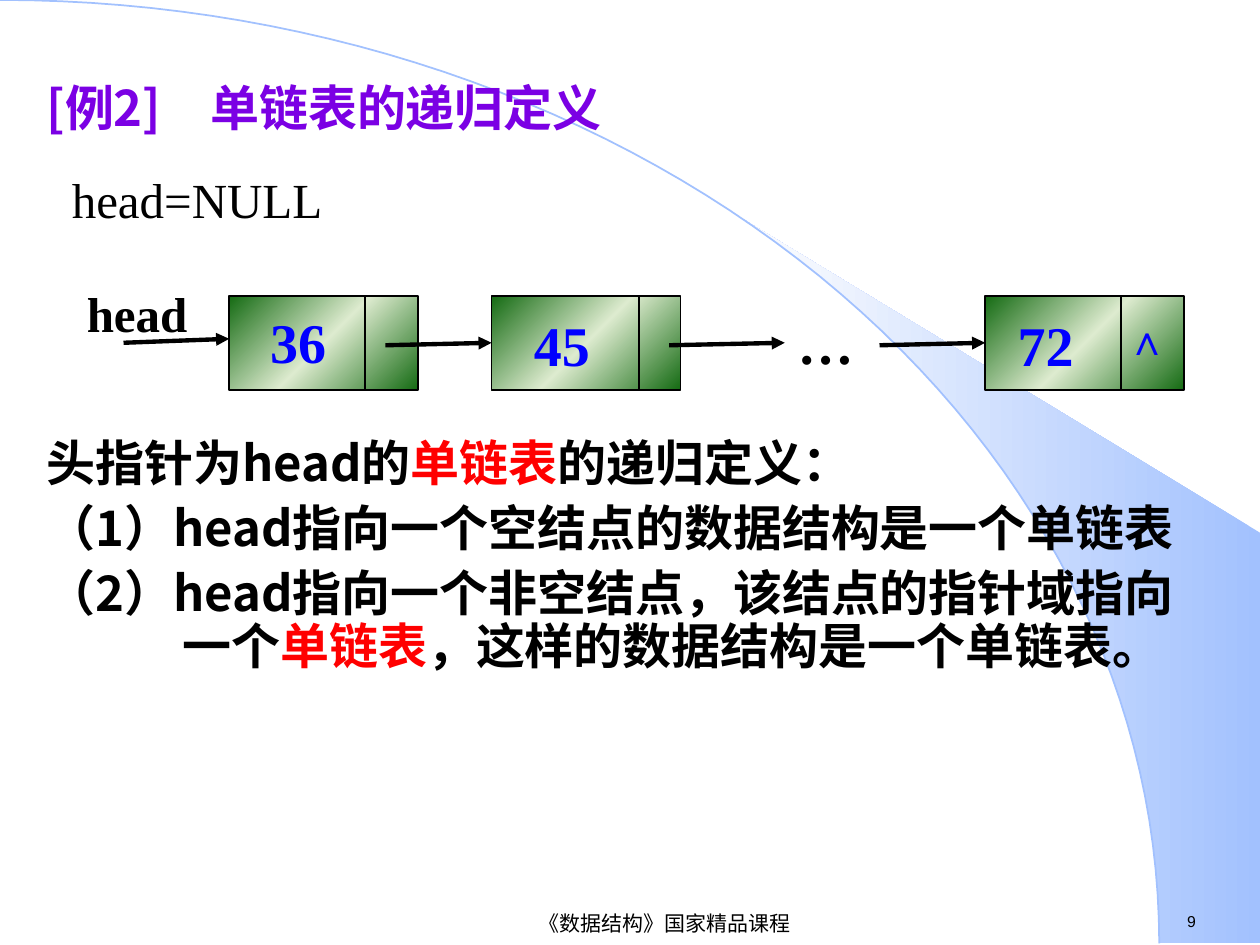
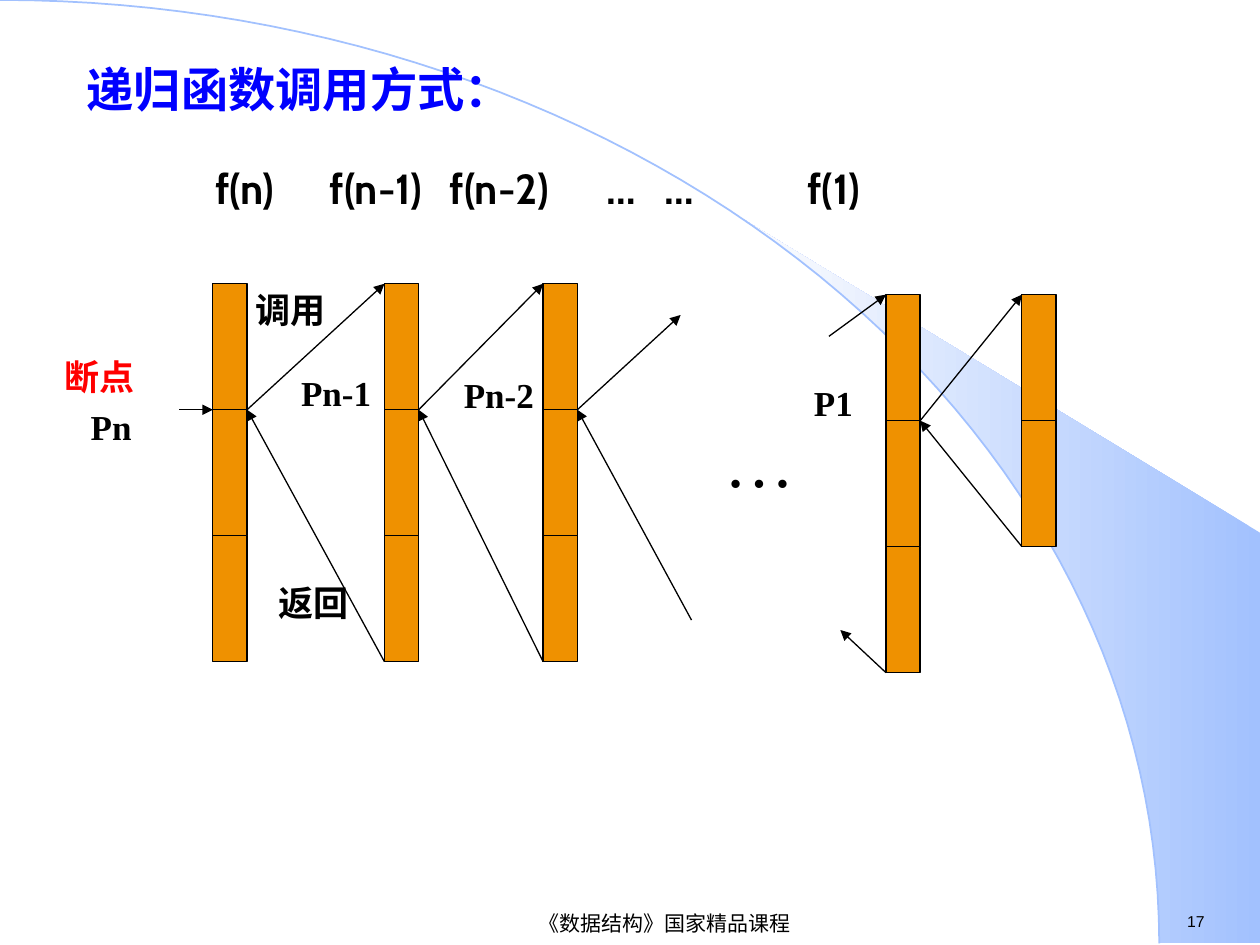
from dataclasses import dataclass
from itertools import chain
from math import asin, cos, pi, sin

from lxml import etree
from pptx import Presentation
from pptx.dml.color import RGBColor
from pptx.enum.shapes import MSO_CONNECTOR, MSO_SHAPE
from pptx.enum.text import MSO_ANCHOR, PP_ALIGN
from pptx.oxml.ns import qn
from pptx.util import Cm, Pt

STRAIGHT = MSO_CONNECTOR.STRAIGHT
RECTANGLE = MSO_SHAPE.RECTANGLE
MIDDLE = MSO_ANCHOR.MIDDLE
LEFT = PP_ALIGN.LEFT
CENTER = PP_ALIGN.CENTER

BLACK = RGBColor(0x00, 0x00, 0x00)
BLUE = RGBColor(0x00, 0x00, 0xFF)
RED = RGBColor(0xFF, 0x00, 0x00)
PURPLE = RGBColor(0x7B, 0x00, 0xE4)
ORANGE = RGBColor(0xEF, 0x91, 0x00)
GREEN = RGBColor(0x15, 0x6B, 0x13)
PALE_GREEN = RGBColor(0xDD, 0xEB, 0xCF)
SKY = RGBColor(0xA2, 0xC1, 0xFE)
NEAR_WHITE = RGBColor(0xFE, 0xFE, 0xFE)

SANS = "Noto Sans CJK SC"
SERIF = "Times New Roman"
PAGE_WIDTH, PAGE_HEIGHT = 25.4, 19.05
ARC_WIDTH, ARC_HEIGHT = 23.37, 19.02
SWOOSH_START = asin(0.64)
HEADING_PITCH = Pt(30.3)

HEADING = {"size": Pt(28), "bold": True, "name": SANS}
CALL_HEADING = {"size": Pt(27), "bold": True, "name": SERIF}
PLAIN = {"size": Pt(28), "bold": False, "name": SERIF}
POINTER = {"size": Pt(28), "bold": True, "name": SERIF}
VALUE = {"size": Pt(32), "bold": True, "name": SERIF}
NULL_MARK = {"size": Pt(24), "bold": True, "name": SERIF}
LABEL = {"size": Pt(20), "bold": True, "name": SERIF}
DOTS = {"size": Pt(40), "bold": False, "name": SERIF}
FUNCTION = {"size": Pt(24), "bold": True, "name": "Cabin"}
FOOTER = {"size": Pt(12), "bold": False, "name": "Arial"}
NUMBER = {"size": Pt(9), "bold": False, "name": "Arial"}

Point = tuple[float, float]
Spans = list[tuple[str, RGBColor]]


@dataclass(frozen=True)
class Label:
    text: str
    left: float
    top: float
    style: dict
    color: RGBColor = BLACK
    width: float = 4.0
    align: int = LEFT


@dataclass(frozen=True)
class Node:
    value: str
    left: float
    width: float
    divider: float
    value_left: float
    value_top: float


@dataclass(frozen=True)
class Stack:
    left: float
    top: float
    cells: int = 3
    width: float = 0.69
    cell_height: float = 2.54

    @property
    def entry(self) -> Point:
        return self.left, self.top

    @property
    def breakpoint(self) -> Point:
        return self.left + self.width, self.top + self.cell_height

    @property
    def exit(self) -> Point:
        return self.left, self.top + self.cells * self.cell_height


NODE_TOP, NODE_HEIGHT = 5.97, 1.9
NODES = [
    Node("36", 4.62, 3.81, 2.74, 5.01, 6.2),
    Node("45", 9.91, 3.81, 2.97, 10.33, 6.27),
    Node("72", 19.86, 4.01, 2.74, 20.08, 6.27),
]
LINKS = [
    ((2.49, 6.91), (4.62, 6.83)),
    ((7.77, 6.96), (9.91, 6.91)),
    ((13.49, 6.96), (15.82, 6.91)),
    ((17.73, 6.96), (19.86, 6.91)),
]
LIST_LABELS = [
    Label("head=NULL", 1.45, 3.41, PLAIN, width=8),
    Label("head", 1.75, 5.72, POINTER, width=2.5),
    Label("…", 16.08, 6.22, VALUE, width=1.5),
    Label("∧", 22.71, 6.32, NULL_MARK, BLUE, 1),
]
DEFINITION: list[Spans] = [
    [("头指针为head的", BLACK), ("单链表", RED), ("的递归定义：", BLACK)],
    [("（1）head指向一个空结点的数据结构是一个单链表", BLACK)],
    [
        ("（2）head指向一个非空结点，该结点的指针域指向一个", BLACK),
        ("单链表", RED),
        ("，这样的数据结构是一个单链表。", BLACK),
    ],
]

STACKS = [
    Stack(4.29, 5.72),
    Stack(7.75, 5.72),
    Stack(10.95, 5.72),
    Stack(17.86, 5.94),
    Stack(20.6, 5.94, 2),
]
CALL_LABELS = [
    Label("调用", 5.16, 5.82, LABEL),
    Label("返回", 5.61, 11.73, LABEL),
    Label("断点", 1.3, 7.16, LABEL, RED),
    Label("Pn", 1.83, 8.18, LABEL),
    Label("Pn-1", 6.07, 7.49, LABEL),
    Label("Pn-2", 9.35, 7.52, LABEL),
    Label("P1", 16.41, 7.7, LABEL),
    Label("…", 14.6, 8.41, DOTS),
]
FUNCTION_TOP = 3.28
FUNCTIONS = [
    ("f(n)", 4.34),
    ("f(n-1)", 6.65),
    ("f(n-2)", 9.07),
    ("…", 12.22),
    ("…", 13.39),
    ("f(1)", 16.28),
]


def add_box(page, left: float, top: float, width: float, height: float = 1.0):
    box = page.shapes.add_textbox(Cm(left), Cm(top), Cm(width), Cm(height))
    frame = box.text_frame
    settings = {"word_wrap": True, "margin_left": 0, "margin_top": 0,
                "margin_right": 0, "margin_bottom": 0}
    for name, value in settings.items():
        setattr(frame, name, value)
    return frame


def add_spans(para, spans: Spans, style: dict) -> None:
    for text, color in spans:
        span = para.add_run()
        span.text = text
        for name, value in style.items():
            setattr(span.font, name, value)
        span.font.color.rgb = color
        east_asian = etree.SubElement(span.font._element, qn("a:ea"))
        east_asian.set("typeface", SANS)


def add_label(page, label: Label):
    frame = add_box(page, label.left, label.top, label.width)
    para = frame.paragraphs[0]
    para.alignment = label.align
    add_spans(para, [(label.text, label.color)], label.style)
    return frame


def add_title(page, label: Label) -> None:
    add_label(page, label).paragraphs[0].line_spacing = HEADING_PITCH


def fill_gradient(shape, colors: list[RGBColor], angle: float) -> None:
    shape.fill.gradient()
    shape.fill.gradient_angle = angle
    stops = shape._element.spPr.find(qn("a:gradFill")).find(qn("a:gsLst"))
    for stop in list(stops):
        stops.remove(stop)
    for index, color in enumerate(colors):
        stop = etree.SubElement(stops, qn("a:gs"))
        stop.set("pos", str(100000 * index // (len(colors) - 1)))
        etree.SubElement(stop, qn("a:srgbClr")).set("val", str(color))


def add_rectangle(page, left: float, top: float, width: float, height: float, line_width: float):
    shape = page.shapes.add_shape(RECTANGLE, Cm(left), Cm(top), Cm(width), Cm(height))
    shape.shadow.inherit = False
    shape.line.color.rgb = BLACK
    shape.line.width = Pt(line_width)
    return shape


def add_line(page, start: Point, end: Point, width: float, arrow: bool = True) -> None:
    ends = [Cm(value) for value in chain(start, end)]
    line = page.shapes.add_connector(STRAIGHT, *ends)
    line.line.color.rgb = BLACK
    line.line.width = Pt(width)
    properties = line._element.spPr
    if arrow:
        tail = etree.SubElement(properties.find(qn("a:ln")), qn("a:tailEnd"))
        tail.set("type", "triangle")
    etree.SubElement(properties, qn("a:effectLst"))


def arc_points(start: float, steps: int = 60) -> list[Point]:
    angles = [start + (pi / 2 - start) * step / steps for step in range(steps + 1)]
    return [(ARC_WIDTH * sin(angle), ARC_HEIGHT * (1 - cos(angle))) for angle in angles]


def add_outline(page, points: list[Point], close: bool):
    first, *others = [(Cm(x), Cm(y)) for x, y in points]
    builder = page.shapes.build_freeform(*first)
    builder.add_line_segments(others, close=close)
    shape = builder.convert_to_shape()
    shape.shadow.inherit = False
    return shape


def add_page(deck, number: str):
    page = deck.slides.add_slide(deck.slide_layouts[6])
    corners = [(PAGE_WIDTH, ARC_HEIGHT), (PAGE_WIDTH, 10.74)]
    swoosh = add_outline(page, arc_points(SWOOSH_START) + corners, True)
    fill_gradient(swoosh, [SKY, NEAR_WHITE], 180)
    swoosh.line.fill.background()
    arc = add_outline(page, arc_points(0), False)
    arc.fill.background()
    arc.line.color.rgb = SKY
    arc.line.width = Pt(1)
    add_label(page, Label(number, 23.93, 18.39, NUMBER, width=1.4))
    footer = add_box(page, 6.1, 18.31, 14.6, 0.61)
    footer.vertical_anchor = MIDDLE
    footer.paragraphs[0].alignment = CENTER
    add_spans(footer.paragraphs[0], [("《数据结构》国家精品课程", BLACK)], FOOTER)
    return page


def add_definition(page) -> None:
    frame = add_box(page, 0.94, 8.83, 23.06, 7)
    for index, spans in enumerate(DEFINITION):
        para = frame.add_paragraph() if index else frame.paragraphs[0]
        para.line_spacing = HEADING_PITCH
        para.space_before = Pt(7 if index else 0)
        indents = para._p.get_or_add_pPr()
        indents.set("marL", str(Cm(2.74)))
        indents.set("indent", str(-Cm(2.74)))
        add_spans(para, spans, HEADING)


def add_node(page, node: Node) -> None:
    cell = add_rectangle(page, node.left, NODE_TOP, node.width, NODE_HEIGHT, 1)
    fill_gradient(cell, [GREEN, PALE_GREEN, GREEN], 135)
    divider = node.left + node.divider
    add_line(page, (divider, NODE_TOP), (divider, NODE_TOP + NODE_HEIGHT), 1, False)
    add_label(page, Label(node.value, node.value_left, node.value_top, VALUE, BLUE, 2, CENTER))


def add_stack(page, stack: Stack) -> None:
    for index in range(stack.cells):
        top = stack.top + index * stack.cell_height
        cell = add_rectangle(page, stack.left, top, stack.width, stack.cell_height, 0.75)
        cell.fill.solid()
        cell.fill.fore_color.rgb = ORANGE


def build_linked_list(deck) -> None:
    page = add_page(deck, "9")
    add_title(page, Label("[例2]\u3000单链表的递归定义".replace("\u3000", "　"), 0.94, 1.68, HEADING, PURPLE, 23))
    add_definition(page)
    for node in NODES:
        add_node(page, node)
    for start, end in LINKS:
        add_line(page, start, end, 2.5)
    for label in LIST_LABELS:
        add_label(page, label)


def build_recursive_calls(deck) -> None:
    page = add_page(deck, "17")
    add_title(page, Label("递归函数调用方式：", 1.75, 1.28, CALL_HEADING, BLUE, 20))
    for stack in STACKS:
        add_stack(page, stack)
    first, second, third, fourth, fifth = STACKS
    arrows = [
        ((3.61, 8.26), (first.left, 8.26)),
        (third.breakpoint, (13.72, 6.35)),
        ((13.94, 12.5), third.breakpoint),
        ((16.71, 6.78), fourth.entry),
        (fourth.exit, (16.94, 12.7)),
    ]
    for caller, callee in [(first, second), (second, third), (fourth, fifth)]:
        arrows += [(caller.breakpoint, callee.entry), (callee.exit, caller.breakpoint)]
    for start, end in arrows:
        add_line(page, start, end, 0.75)
    for label in CALL_LABELS:
        add_label(page, label)
    for text, left in FUNCTIONS:
        add_label(page, Label(text, left, FUNCTION_TOP, FUNCTION))


def main() -> None:
    deck = Presentation()
    deck.slide_width, deck.slide_height = Cm(PAGE_WIDTH), Cm(PAGE_HEIGHT)
    build_linked_list(deck)
    build_recursive_calls(deck)
    deck.save("out.pptx")


if __name__ == "__main__":
    main()
